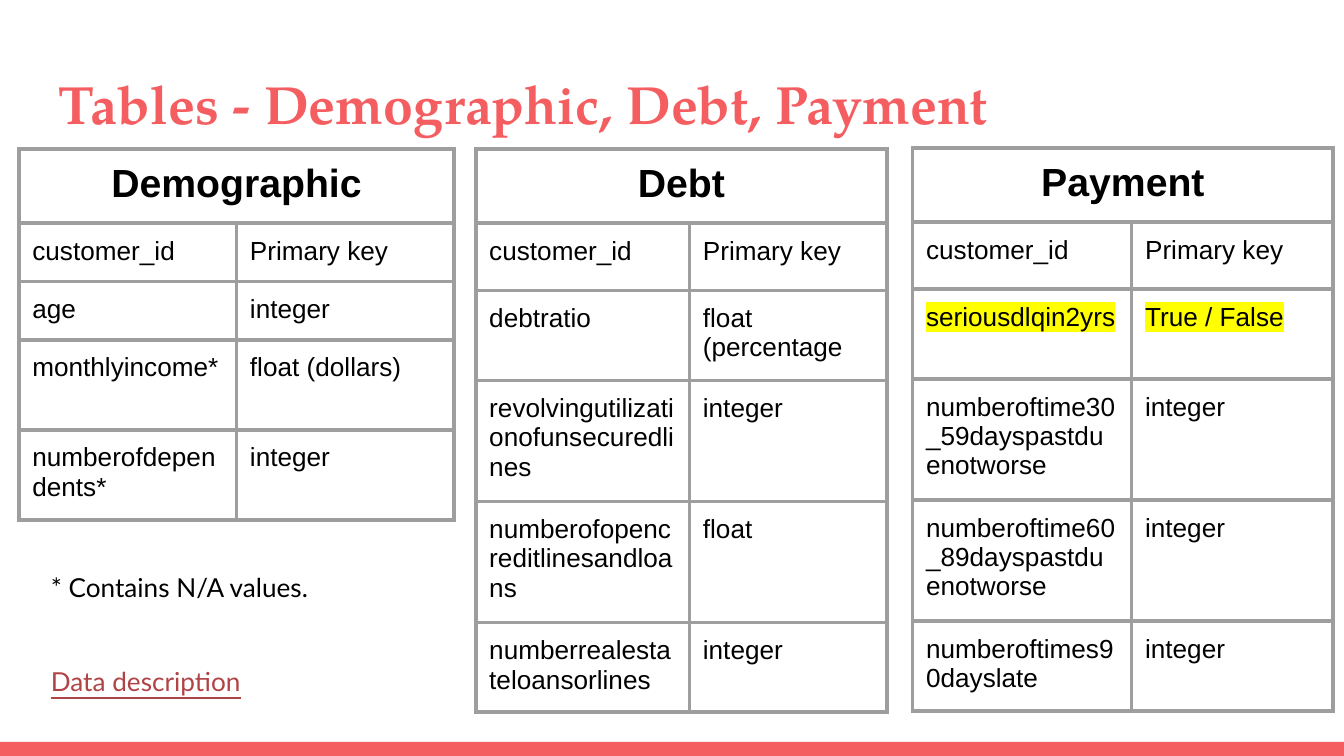
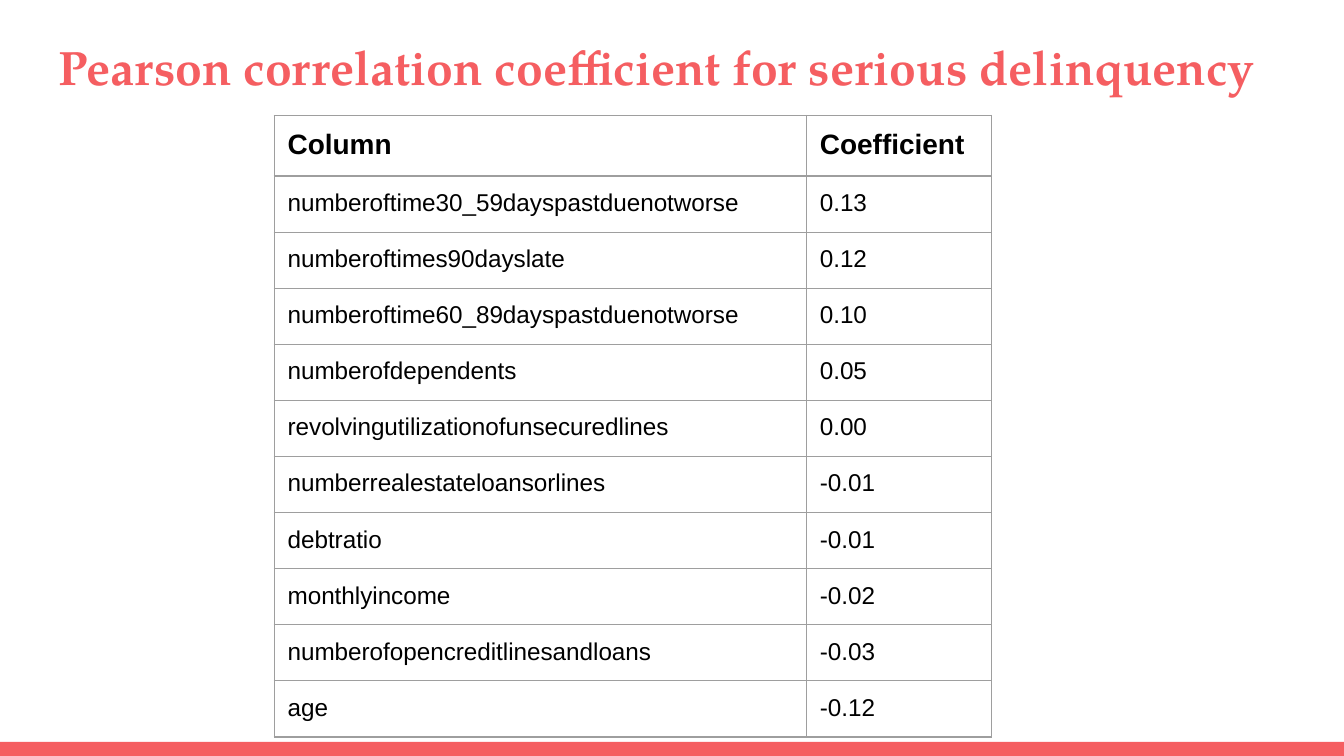
from lxml import etree
from pptx import Presentation
from pptx.dml.color import RGBColor
from pptx.enum.shapes import MSO_SHAPE
from pptx.enum.text import PP_ALIGN
from pptx.oxml import parse_xml
from pptx.util import Inches, Pt

RECT = MSO_SHAPE.RECTANGLE
CENTER = PP_ALIGN.CENTER
NS = "http://schemas.openxmlformats.org/drawingml/2006/main"
COLORS = {"coral": "F55E61", "black": "000000", "grid": "9E9E9E",
          "link": "AF4345", "mark": "FFFF00"}
PAD = Inches(0.1)


def style(para, text, size, face="Arial", color="black", bold=False):
    para.text = text
    font = para.font
    font.size, font.name, font.bold = Pt(size), face, bold
    font.color.rgb = RGBColor.from_string(COLORS[color])
    end = etree.SubElement(para._p, f"{{{NS}}}endParaRPr", sz=str(round(size * 100)))
    etree.SubElement(end, f"{{{NS}}}latin", typeface=face)


def add_grid(slide, left, top, cols, rows, data, sizes, line):
    grid = slide.shapes.add_table(
        len(rows), len(cols), Inches(left), Inches(top),
        Inches(sum(cols)), Inches(sum(rows))).table
    grid.first_row = grid.horz_banding = False
    for col, width in zip(grid.columns, cols):
        col.width = Inches(width)
    for r, (row, height) in enumerate(zip(data, rows)):
        grid.rows[r].height = Inches(height)
        for c in range(len(cols)):
            cell = grid.cell(r, c)
            cell.margin_left = cell.margin_right = PAD
            cell.margin_top = cell.margin_bottom = PAD
            props = cell._tc.get_or_add_tcPr()
            for side in "LRTB":
                props.append(parse_xml(
                    f'<a:ln{side} xmlns:a="{NS}" w="{Pt(line)}"><a:solidFill>'
                    f'<a:srgbClr val="{COLORS["grid"]}"/></a:solidFill></a:ln{side}>'))
            cell.fill.background()
            if c < len(row):
                style(cell.text_frame.paragraphs[0], row[c],
                      sizes[min(r, 1)], bold=r == 0)
        if len(row) == 1:
            grid.cell(r, 0).merge(grid.cell(r, len(cols) - 1))
            grid.cell(r, 0).text_frame.paragraphs[0].alignment = CENTER
    return grid


deck = Presentation()
deck.slide_width = Inches(10)
deck.slide_height = deck.slide_width * 9 // 16

slides = []
for title, top, size in [
    ("Tables - Demographic, Debt, Payment", 0.43, 28.8),
    ("Pearson correlation coefficient for serious delinquency", 0.18, 25.8),
]:
    slide = deck.slides.add_slide(deck.slide_layouts[6])
    band = slide.shapes.add_shape(RECT, 0, Inches(5.52), Inches(10), Inches(0.11))
    band.shadow.inherit = False
    band.fill.solid()
    band.fill.fore_color.rgb = RGBColor.from_string(COLORS["coral"])
    band.line.fill.background()
    box = slide.shapes.add_textbox(Inches(0.34), Inches(top), Inches(9.32), Inches(0.68))
    slides.append(slide)
    frame = box.text_frame
    frame.word_wrap = True
    frame.margin_left = frame.margin_right = PAD
    frame.margin_top = frame.margin_bottom = PAD
    style(frame.paragraphs[0], title, size, "TeX Gyre Pagella", "coral", True)

schema, scores = slides
key = ("customer_id", "Primary key")
tables = [
    (0.14, 1.11, [1.62, 1.62], [0.55, 0.43, 0.43, 0.67, 0.67], [
        ("Demographic",), key,
        ("age", "integer"),
        ("monthlyincome*", "float (dollars)"),
        ("numberofdependents*", "integer")]),
    (3.54, 1.11, [1.59, 1.47], [0.5, 0.5, 0.67, 0.67, 0.67, 0.54], [
        ("Debt",), key,
        ("debtratio", "float (percentage"),
        ("revolvingutilizationofunsecuredlines", "integer"),
        ("numberofopencreditlinesandloans", "float"),
        ("numberrealestateloansorlines", "integer")]),
    (6.79, 1.1, [1.63, 1.5], [0.55, 0.5, 0.67, 0.9, 0.67, 0.67], [
        ("Payment",), key,
        ("seriousdlqin2yrs", "True / False"),
        ("numberoftime30_59dayspastduenotworse", "integer"),
        ("numberoftime60_89dayspastduenotworse", "integer"),
        ("numberoftimes90dayslate", "integer")]),
]
for left, top, cols, rows, data in tables:
    grid = add_grid(schema, left, top, cols, rows, data, (21, 14), 2.25)

for cell in grid.rows[2].cells:
    run = cell.text_frame.paragraphs[0].runs[0]
    mark = etree.SubElement(run._r.get_or_add_rPr(), f"{{{NS}}}highlight")
    etree.SubElement(mark, f"{{{NS}}}srgbClr", val=COLORS["mark"])

note = schema.shapes.add_textbox(Inches(0.28), Inches(4.15), Inches(7.64), Inches(1.14))
frame = note.text_frame
frame.word_wrap = True
frame.margin_left = frame.margin_right = PAD
frame.margin_top = frame.margin_bottom = PAD
style(frame.paragraphs[0], "* Contains N/A values.", 14, "Lato")
link = frame.add_paragraph()
style(link, "Data description", 14, "Lato", "link")
link.font.underline = True
link.space_before = Pt(33.6)

data = [
    ("Column", "Coefficient"),
    ("numberoftime30_59dayspastduenotworse", "0.13"),
    ("numberoftimes90dayslate", "0.12"),
    ("numberoftime60_89dayspastduenotworse", "0.10"),
    ("numberofdependents", "0.05"),
    ("revolvingutilizationofunsecuredlines", "0.00"),
    ("numberrealestateloansorlines", "-0.01"),
    ("debtratio", "-0.01"),
    ("monthlyincome", "-0.02"),
    ("numberofopencreditlinesandloans", "-0.03"),
    ("age", "-0.12"),
]
add_grid(scores, 2.04, 0.86, [3.96, 1.38], [0.32] * len(data), data, (15, 13), 0.75)

deck.save("out.pptx")
